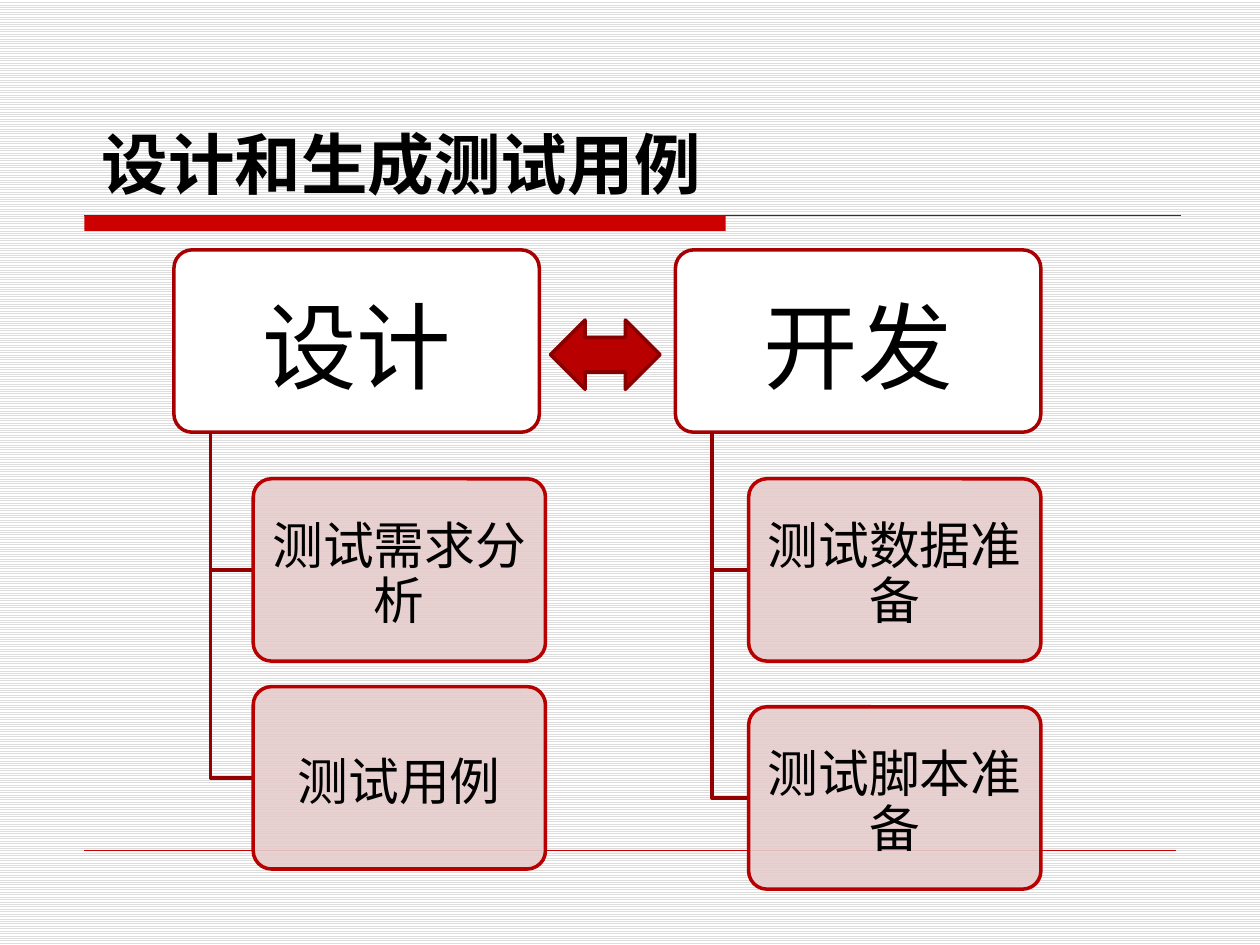
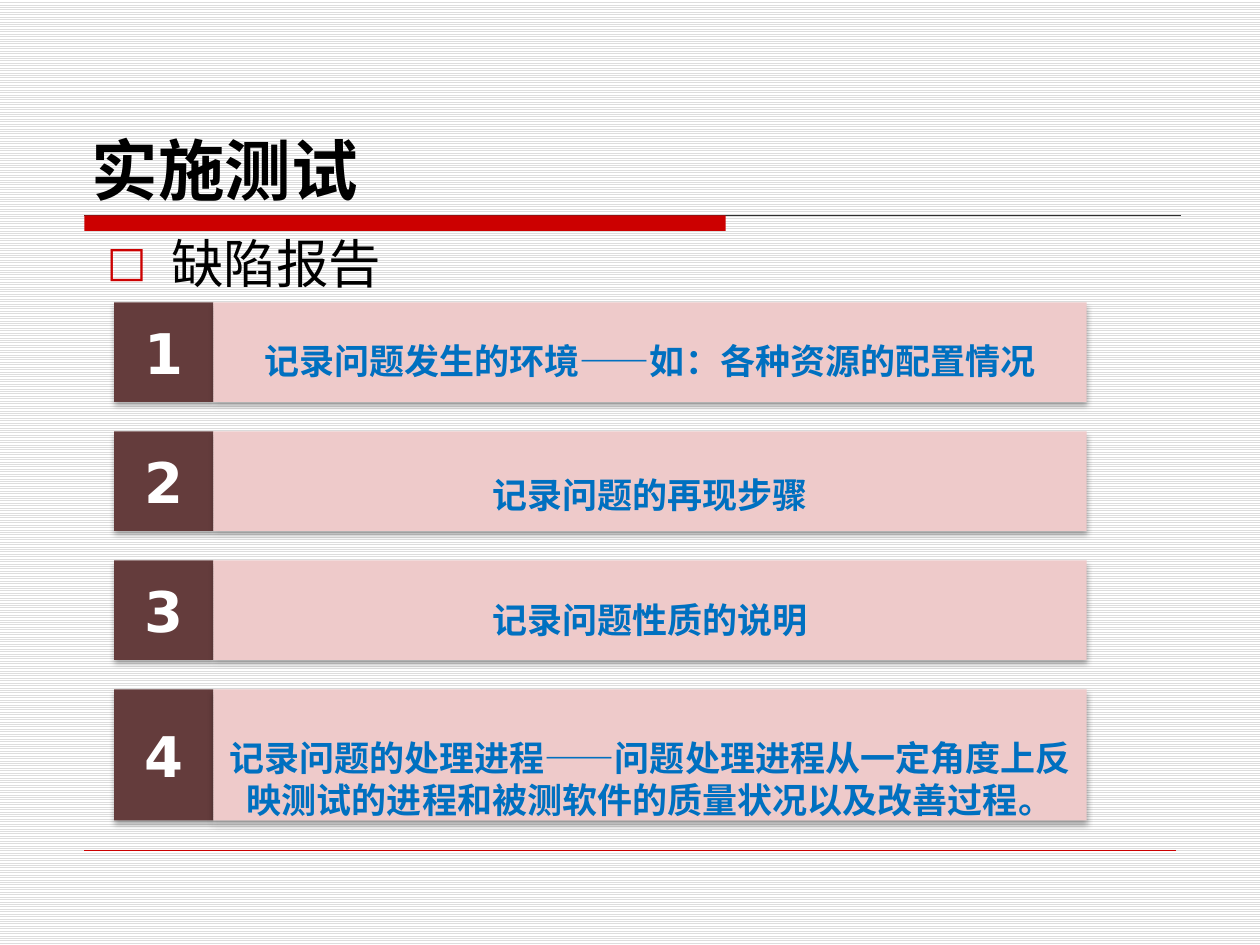
from typing import NamedTuple

from lxml import etree
from pptx import Presentation
from pptx.dml.color import RGBColor
from pptx.enum.dml import MSO_PATTERN
from pptx.enum.shapes import MSO_CONNECTOR, MSO_SHAPE
from pptx.enum.text import MSO_ANCHOR, PP_ALIGN
from pptx.oxml.ns import qn
from pptx.util import Pt

LEFT, CENTER = PP_ALIGN.LEFT, PP_ALIGN.CENTER
TOP, MIDDLE, BOTTOM = MSO_ANCHOR.TOP, MSO_ANCHOR.MIDDLE, MSO_ANCHOR.BOTTOM
RECT, ROUND = MSO_SHAPE.RECTANGLE, MSO_SHAPE.ROUNDED_RECTANGLE
ARROW = MSO_SHAPE.LEFT_RIGHT_ARROW
STRAIGHT = MSO_CONNECTOR.STRAIGHT
STRIPES = MSO_PATTERN.LIGHT_HORIZONTAL

BLACK = RGBColor(0x00, 0x00, 0x00)
WHITE = RGBColor(0xFF, 0xFF, 0xFF)
GREY = RGBColor(0xDD, 0xDD, 0xDD)
DARK = RGBColor(0x30, 0x30, 0x30)
RED = RGBColor(0xCC, 0x00, 0x00)
HEAD_EDGE = RGBColor(0xA8, 0x00, 0x00)
CARD_EDGE = RGBColor(0xB9, 0x00, 0x00)
ARROW_EDGE = RGBColor(0x89, 0x00, 0x00)
STEM = RGBColor(0x94, 0x00, 0x00)
ROSE = RGBColor(0xE6, 0xCC, 0xCC)
BROWN = RGBColor(0x64, 0x3C, 0x3C)
PINK = RGBColor(0xEE, 0xCA, 0xCA)
BLUE = RGBColor(0x00, 0x70, 0xC0)

LATIN, HAN = "DejaVu Sans", "Noto Sans CJK SC"


class Area(NamedTuple):
    left: float
    top: float
    width: float
    height: float


class Style(NamedTuple):
    size: float
    font: str = HAN
    color: RGBColor = BLACK
    bold: bool = False
    lead: float = 0
    align: PP_ALIGN = CENTER
    anchor: MSO_ANCHOR = MIDDLE
    side: float = 7.2
    top: float = 0
    bottom: float = 0
    wrap: bool = True


class Card(NamedTuple):
    text: str
    top: float


class Tree(NamedTuple):
    left: float
    inner: float
    text: str
    cards: tuple[Card, ...]


class Step(NamedTuple):
    text: str
    height: float
    drop: float


TITLE = Style(38, LATIN, bold=True, lead=45.6, align=LEFT, anchor=BOTTOM)
BODY = Style(30, LATIN, lead=36, align=LEFT, anchor=TOP, top=6.6)
HEAD = Style(54, lead=58.3, side=7.8, top=10.8)
CARD = Style(29, lead=31.3, side=4.2, top=5.8)
NUMBER = Style(32, LATIN, WHITE, True, wrap=False)
STEP = Style(20, HAN, BLUE, True, lead=24, wrap=False)

HEAD_TOP, HEAD_WIDTH = 142.8, 208.8
CARD_WIDTH, CARD_HEIGHT = 167, 104.2
STEM_INSET = 20.9

TREES = (
    Tree(99.4, 144.7, "设计", (Card("测试需求分析", 273.6), Card("测试用例", 392.4))),
    Tree(386, 427.8, "开发", (Card("测试数据准备", 273.6), Card("测试脚本准备", 403.9))),
)

STEP_LEFT, STEP_TOP, STEP_GAP = 65.3, 172.8, 16.8
NUMBER_WIDTH, STEP_WIDTH = 56.7, 499
STEPS = (
    Step("记录问题发生的环境——如：各种资源的配置情况", 56.9, 4.8),
    Step("记录问题的再现步骤", 56.9, 7.7),
    Step("记录问题性质的说明", 56.9, 5.4),
    Step(
        "记录问题的处理进程——问题处理进程从一定角度上反\n"
        "映测试的进程和被测软件的质量状况以及改善过程。",
        75,
        13.5,
    ),
)


def add_tag(parent, tag: str, **attrs: str):
    return etree.SubElement(parent, qn(tag), attrs)


def write(shape, text: str, style: Style) -> None:
    frame = shape.text_frame
    frame.text = text
    frame.word_wrap = style.wrap
    frame.vertical_anchor = style.anchor
    frame.margin_left = frame.margin_right = Pt(style.side)
    frame.margin_top, frame.margin_bottom = Pt(style.top), Pt(style.bottom)
    for para in frame.paragraphs:
        para.alignment = style.align
        if style.lead:
            para.line_spacing = Pt(style.lead)
        for run in para.runs:
            font = run.font
            font.size, font.bold, font.name = Pt(style.size), style.bold, style.font
            font.color.rgb = style.color
            latin = font._element.find(qn("a:latin"))
            latin.addnext(latin.makeelement(qn("a:ea"), {"typeface": HAN}))


def add_box(slide, kind: MSO_SHAPE, area: Area, fill: RGBColor, edge: RGBColor | None = None):
    shape = slide.shapes.add_shape(kind, *map(Pt, area))
    shape.shadow.inherit = False
    shape.fill.solid()
    shape.fill.fore_color.rgb = fill
    if edge is None:
        shape.line.fill.background()
    else:
        shape.line.color.rgb, shape.line.width = edge, Pt(2)
    if kind == ROUND:
        shape.adjustments[0] = 0.1
    return shape


def add_label(slide, area: Area, text: str, style: Style):
    label = slide.shapes.add_textbox(*map(Pt, area))
    write(label, text, style)
    return label


def add_rule(slide, left: float, right: float, top: float, color: RGBColor, width: float) -> None:
    rule = slide.shapes.add_connector(STRAIGHT, Pt(left), Pt(top), Pt(right), Pt(top))
    rule.line.color.rgb, rule.line.width = color, Pt(width)
    add_tag(rule._element.spPr, "a:effectLst")


def add_slide(deck, title: str, area: Area):
    slide = deck.slides.add_slide(deck.slide_layouts[6])
    fill = slide.background.fill
    fill.patterned()
    fill.pattern = STRIPES
    fill.fore_color.rgb, fill.back_color.rgb = GREY, WHITE
    add_rule(slide, 48.2, 674.6, 123.1, DARK, 0.75)
    add_box(slide, RECT, Area(48.2, 123.1, 366.5, 8.9), RED)
    add_rule(slide, 48.2, 671.8, 486, RED, 0.25)
    add_label(slide, area, title, TITLE)
    return slide


def add_stem(slide, left: float, right: float, end: float) -> None:
    start = HEAD_TOP + CARD_HEIGHT
    path = slide.shapes.build_freeform(Pt(left), Pt(start))
    path.add_line_segments([(Pt(left), Pt(end)), (Pt(right), Pt(end))], close=False)
    stem = path.convert_to_shape()
    stem.shadow.inherit = False
    stem.fill.background()
    stem.line.color.rgb, stem.line.width = STEM, Pt(2)


def add_tree(slide, tree: Tree) -> None:
    area = Area(tree.left, HEAD_TOP, HEAD_WIDTH, CARD_HEIGHT)
    write(add_box(slide, ROUND, area, WHITE, HEAD_EDGE), tree.text, HEAD)
    for card in tree.cards:
        add_stem(slide, tree.left + STEM_INSET, tree.inner, card.top + CARD_HEIGHT / 2)
        area = Area(tree.inner, card.top, CARD_WIDTH, CARD_HEIGHT)
        box = add_box(slide, ROUND, area, ROSE, CARD_EDGE)
        color = box._element.spPr.find(qn("a:solidFill"))[0]
        add_tag(color, "a:alpha", val="90000")
        write(box, card.text, CARD)


def add_shade(shape) -> None:
    effects = shape._element.spPr.find(qn("a:effectLst"))
    shade = add_tag(
        effects,
        "a:outerShdw",
        blurRad=str(Pt(3.5)),
        dist=str(Pt(2.2)),
        dir="5400000",
        rotWithShape="0",
    )
    color = add_tag(shade, "a:srgbClr", val=str(BLACK))
    add_tag(color, "a:alpha", val="32000")


def add_steps(slide) -> None:
    top = STEP_TOP
    for count, step in enumerate(STEPS, 1):
        area = Area(STEP_LEFT, top, NUMBER_WIDTH, step.height)
        wide = Area(STEP_LEFT + NUMBER_WIDTH, top, STEP_WIDTH, step.height)
        for place, fill, text, style in (
            (area, BROWN, str(count), NUMBER),
            (wide, PINK, step.text, STEP._replace(top=2 * step.drop)),
        ):
            box = add_box(slide, RECT, place, fill)
            add_shade(box)
            write(box, text, style)
        top += step.height + STEP_GAP


def add_bullet(label) -> None:
    props = label.text_frame.paragraphs[0]._p.get_or_add_pPr()
    indent = Pt(36.7)
    props.set("marL", str(indent))
    props.set("indent", str(-indent))
    add_tag(add_tag(props, "a:buClr"), "a:srgbClr", val=str(RED))
    add_tag(props, "a:buSzPct", val="80000")
    add_tag(props, "a:buFont", typeface=LATIN)
    add_tag(props, "a:buChar", char="□")


def main() -> None:
    deck = Presentation()
    deck.slide_width, deck.slide_height = Pt(720), Pt(540)

    design = add_slide(deck, "设计和生成测试用例", Area(51.1, 71.3, 490.3, 44.6))
    for tree in TREES:
        add_tree(design, tree)
    add_box(design, ARROW, Area(314.6, 182.9, 62.6, 39.6), CARD_EDGE, ARROW_EDGE)

    testing = add_slide(deck, "实施测试", Area(45.4, 23.8, 630, 95.8))
    add_bullet(add_label(testing, Area(54, 125.3, 603.4, 365.8), "缺陷报告", BODY))
    add_steps(testing)

    deck.save("out.pptx")


if __name__ == "__main__":
    main()
